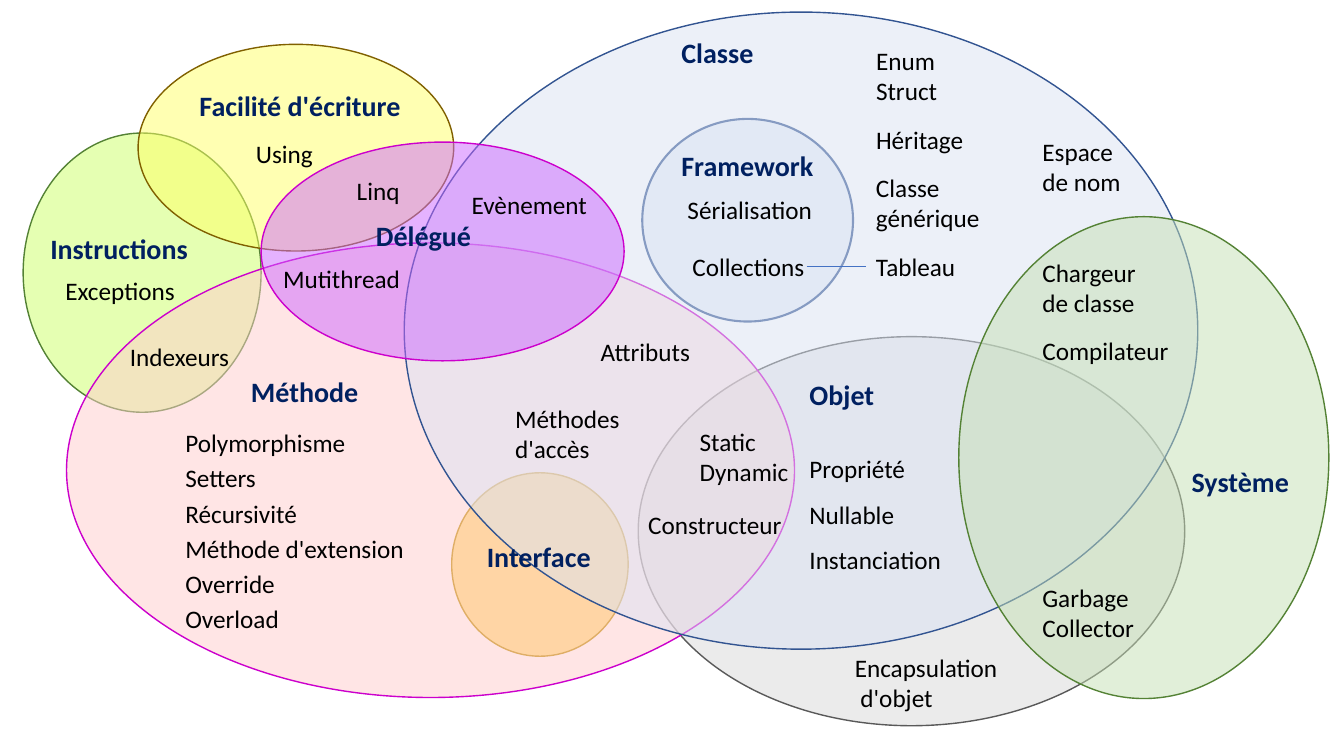
from dataclasses import dataclass, field

from lxml.etree import SubElement
from pptx import Presentation
from pptx.dml.color import RGBColor
from pptx.enum.shapes import MSO_CONNECTOR as Connector, MSO_SHAPE as Preset
from pptx.enum.text import MSO_AUTO_SIZE as AutoSize
from pptx.oxml.ns import qn
from pptx.util import Inches, Pt

FONT = "Calibri"
NAVY = "002060"
BLACK = "000000"


@dataclass
class Region:
    box: tuple
    fill: str
    line: str
    heading: tuple
    labels: list = field(default_factory=list)
    line_width: float = 1


def column(left, top, pitch, entries):
    return [(text, left, top + row * pitch, width)
            for row, (text, width) in enumerate(entries)]


REGIONS = [
    Region((6.33, 3.34, 5.42, 3.86), "D9D9D9", "595959", ("Objet", 1.6, 0.36, 1.24), [
        ("Constructeur", 0, 1.66, 1.6),
        ("Static\nDynamic", 0.51, 0.84, 1.09),
        ("Encapsulation\n d'objet", 2.05, 3.08, 1.63),
        *column(1.6, 1.11, 0.45, [
            ("Propriété", 1.16), ("Nullable", 1.05), ("Instanciation", 1.52)]),
    ]),
    Region((6.37, 1.18, 2.09, 2.01), "DAE3F3", "325491", ("Framework", 0.29, 0.24, 1.56), [
        ("Sérialisation", 0.35, 0.7, 1.45),
        ("Collections", 0.4, 1.26, 1.33),
    ], 1.5),
    Region((4.48, 4.69, 1.75, 1.82), "FFC000", "BF9000", ("Interface", 0.25, 0.61, 1.24)),
    Region((0.23, 1.32, 2.36, 2.77), "CCFF66", "548235", ("Instructions", 0.17, 0.93, 1.58), [
        ("Exceptions", 0.32, 1.36, 1.3),
        ("Indexeurs", 0.96, 2.02, 1.2),
    ]),
    Region((1.37, 0.44, 3.13, 2.05), "FFFF66", "806000",
           ("Facilité d'écriture", 0.51, 0.39, 2.21), [("Using", 1.07, 0.88, 0.77)]),
    Region((0.66, 2.41, 7.22, 4.51), "FFCCCC", "CC00CC", ("Méthode", 1.73, 1.26, 1.62), [
        ("Attributs", 5.2, 0.88, 1.1),
        ("Méthodes\nd'accès", 4.35, 1.54, 1.31),
        *column(1.08, 1.78, 0.35, [
            ("Polymorphisme", 1.8), ("Setters", 0.91), ("Récursivité", 1.32),
            ("Méthode d'extension", 2.39), ("Override", 1.1), ("Overload", 1.14)]),
    ]),
    Region((4.01, 0.12, 7.87, 6.32), "DAE3F3", "325491", ("Classe", 2.65, 0.18, 1.59), [
        ("Enum\nStruct", 4.58, 0.28, 0.81),
        ("Héritage", 4.58, 1.06, 1.08),
        ("Classe\ngénérique", 4.58, 1.54, 1.24),
        ("Tableau", 4.58, 2.32, 1),
        ("Espace\nde nom", 6.23, 1.18, 0.99),
    ]),
    Region((2.59, 1.41, 3.6, 2.17), "CC66FF", "CC00CC", ("Délégué", 1.04, 0.71, 1.16), [
        ("Evènement", 1.99, 0.42, 1.36),
        ("Linq", 0.85, 0.28, 0.63),
        ("Mutithread", 0.12, 1.15, 1.41),
    ]),
    Region((9.51, 2.15, 3.67, 4.78), "C5E0B4", "548235", ("Système", 2.21, 2.41, 1.42), [
        ("Chargeur\nde classe", 0.73, 0.35, 1.2),
        ("Compilateur", 0.73, 1.13, 1.47),
        ("Garbage\nCollector", 0.73, 3.58, 1.13),
    ]),
]


def color(value):
    return RGBColor.from_string(value)


def add_ellipse(slide, region):
    shape = slide.shapes.add_shape(Preset.OVAL, *map(Inches, region.box))
    shape.shadow.inherit = False
    shape.fill.solid()
    shape.fill.fore_color.rgb = color(region.fill)
    fill_color = shape.fill._xPr.find(qn("a:solidFill"))[0]
    SubElement(fill_color, qn("a:alpha"), val="50000")
    shape.line.color.rgb = color(region.line)
    shape.line.width = Pt(region.line_width)


def add_text(slide, region, label, heading=False):
    text, left, top, width = label
    height = 0.44 if heading else 0.71 if "\n" in text else 0.4
    shape = slide.shapes.add_textbox(Inches(region.box[0] + left), Inches(region.box[1] + top),
                                     Inches(width), Inches(height))
    frame = shape.text_frame
    frame.text = text
    frame.word_wrap = heading
    frame.auto_size = AutoSize.SHAPE_TO_FIT_TEXT
    for paragraph in frame.paragraphs:
        paragraph.font.name = FONT
        paragraph.font.size = Pt(20 if heading else 18)
        paragraph.font.bold = heading
        paragraph.font.color.rgb = color(NAVY if heading else BLACK)
    return shape


def add_region_texts(slide, region):
    add_text(slide, region, region.heading, heading=True)
    return {label[0]: add_text(slide, region, label) for label in region.labels}


def add_link(slide, source, target):
    middle = target.top + target.height // 2
    start = source.left + source.width - Inches(0.1)
    connector = slide.shapes.add_connector(Connector.STRAIGHT, start, middle, target.left, middle)
    connector.end_connect(target, 1)
    connector.line.color.rgb = color("4472C4")
    connector.line.width = Pt(0.5)
    SubElement(connector._element.spPr, qn("a:effectLst"))


def build_concept_map(slide):
    for region in REGIONS:
        add_ellipse(slide, region)
    labels = {}
    for region in REGIONS:
        labels.update(add_region_texts(slide, region))
    add_link(slide, labels["Collections"], labels["Tableau"])


def main():
    presentation = Presentation()
    presentation.slide_width = Inches(13.33)
    presentation.slide_height = Inches(7.5)
    slide = presentation.slides.add_slide(presentation.slide_layouts[6])
    build_concept_map(slide)
    presentation.save("out.pptx")


if __name__ == "__main__":
    main()
